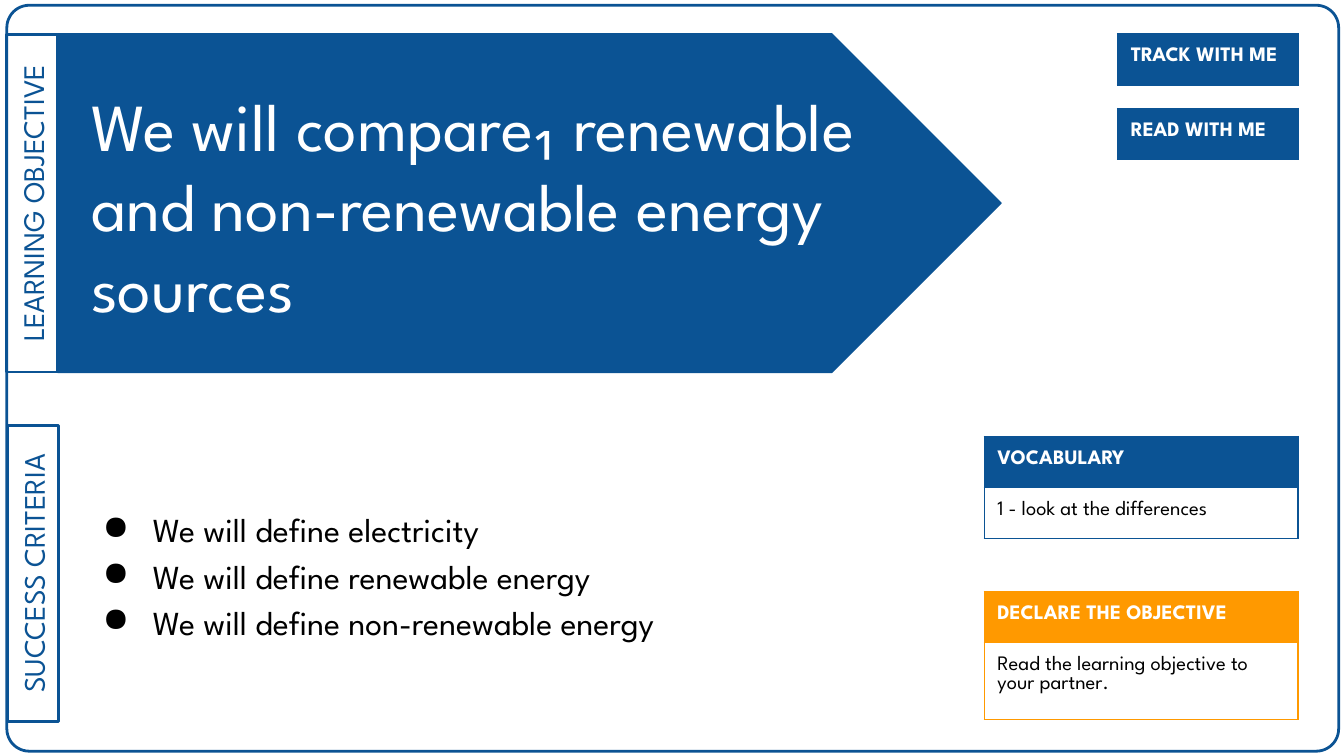
from lxml import etree
from pptx import Presentation
from pptx.dml.color import RGBColor
from pptx.enum.shapes import MSO_SHAPE
from pptx.enum.text import MSO_ANCHOR, PP_ALIGN
from pptx.oxml.ns import qn
from pptx.util import Cm, Pt

ROUNDED, RECTANGLE, ARROW = MSO_SHAPE.ROUNDED_RECTANGLE, MSO_SHAPE.RECTANGLE, MSO_SHAPE.PENTAGON
MIDDLE, TOP = MSO_ANCHOR.MIDDLE, MSO_ANCHOR.TOP
LEFT, CENTER = PP_ALIGN.LEFT, PP_ALIGN.CENTER
COLORS = {"blue": "0B5394", "orange": "FF9900", "white": "FFFFFF", "black": "000000"}
FONT = "League Spartan"
INSET = Cm(0.25)


def color(name):
    return RGBColor.from_string(COLORS[name])


def style_text(frame, size, color_name, anchor=MIDDLE, align=LEFT, bold=False):
    frame.word_wrap = True
    frame.vertical_anchor = anchor
    frame.margin_left = frame.margin_right = INSET
    frame.margin_top = frame.margin_bottom = INSET
    for para in frame.paragraphs:
        para.alignment = align
        for span in para.runs:
            span.font.name = FONT
            span.font.size = Pt(size)
            span.font.bold = bold
            span.font.color.rgb = color(color_name)


deck = Presentation()
deck.slide_width, deck.slide_height = Cm(25.4), Cm(14.29)
page = deck.slides.add_slide(deck.slide_layouts[5])

# Frame, side labels and arrow
outlines = [
    (ROUNDED, 0.13, 0.1, 25.17, 14.1, 0, ""),
    (RECTANGLE, -2.58, 3.36, 6.38, 0.96, 270, "LEARNING OBJECTIVE"),
    (ARROW, 1.09, 0.64, 17.83, 6.4, 0, ""),
    (RECTANGLE, -2.18, 10.36, 5.61, 0.96, 270, "SUCCESS CRITERIA"),
]
for kind, left, top, width, height, rotation, label in outlines:
    box = page.shapes.add_shape(kind, Cm(left), Cm(top), Cm(width), Cm(height))
    box.shadow.inherit = False
    box.rotation = rotation
    box.line.color.rgb = color("blue")
    box.line.width = Pt(1.5)
    box.fill.background()
    if kind == ROUNDED:
        box.adjustments[0] = 0.03
    elif kind == ARROW:
        box.fill.solid()
        box.fill.fore_color.rgb = color("blue")
        box.line.width = Pt(0.75)
    else:
        box.text_frame.text = label
        style_text(box.text_frame, 16, "blue", align=CENTER)

# Title, brought in front of the arrow
title = page.shapes.title
title.left, title.top, title.width, title.height = Cm(1.47), Cm(1.32), Cm(15.54), Cm(5.11)
title.text_frame.text = "We will compare₁ renewable and non-renewable energy sources"
style_text(title.text_frame, 36, "white")
title.element.getparent().append(title.element)

# Success criteria
criteria = page.shapes.add_textbox(Cm(1.37), Cm(8.03), Cm(14.43), Cm(5.59))
criteria.text_frame.text = "\n".join(
    f"We will define {topic}"
    for topic in ("electricity", "renewable energy", "non-renewable energy")
)
for para in criteria.text_frame.paragraphs:
    para.line_spacing = 1.15
    properties = para._p.get_or_add_pPr()
    properties.set("marL", str(Cm(1.27)))
    properties.set("indent", str(-Cm(0.95)))
    etree.SubElement(properties, qn("a:buChar"), char="●")
style_text(criteria.text_frame, 18, "black")

# Cards: a filled heading row, then an optional open row
cards = [
    (18.6, 11.18, 5.93, "orange", [("DECLARE THE OBJECTIVE", 0.87), ("Read the learning objective to your partner.", 1.46)]),
    (18.6, 8.25, 5.93, "blue", [("VOCABULARY", 0.87), ("1 - look at the differences", 0.87)]),
    (21.12, 0.64, 3.41, "blue", [("TRACK WITH ME", 0.87)]),
    (21.12, 2.05, 3.41, "blue", [("READ WITH ME", 0.87)]),
]
for left, top, width, accent, rows in cards:
    total = sum(height for _, height in rows)
    table = page.shapes.add_table(len(rows), 1, Cm(left), Cm(top), Cm(width), Cm(total)).table
    table.first_row = table.horz_banding = False
    for index, (words, height) in enumerate(rows):
        heading = index == 0
        table.rows[index].height = Cm(height)
        cell = table.cell(index, 0)
        cell.text = words
        style_text(cell.text_frame, 11, "white" if heading else "black", bold=heading)
        cell.vertical_anchor = TOP
        cell.margin_left = cell.margin_right = INSET
        cell.margin_top = cell.margin_bottom = INSET
        properties = cell._tc.get_or_add_tcPr()
        for side in ("lnL", "lnR", "lnT", "lnB"):
            edge = etree.SubElement(properties, qn(f"a:{side}"), w=str(Pt(0.75)))
            paint = etree.SubElement(edge, qn("a:solidFill"))
            etree.SubElement(paint, qn("a:srgbClr"), val=COLORS[accent])
        if heading:
            cell.fill.solid()
            cell.fill.fore_color.rgb = color(accent)
        else:
            cell.fill.background()

deck.save("out.pptx")
